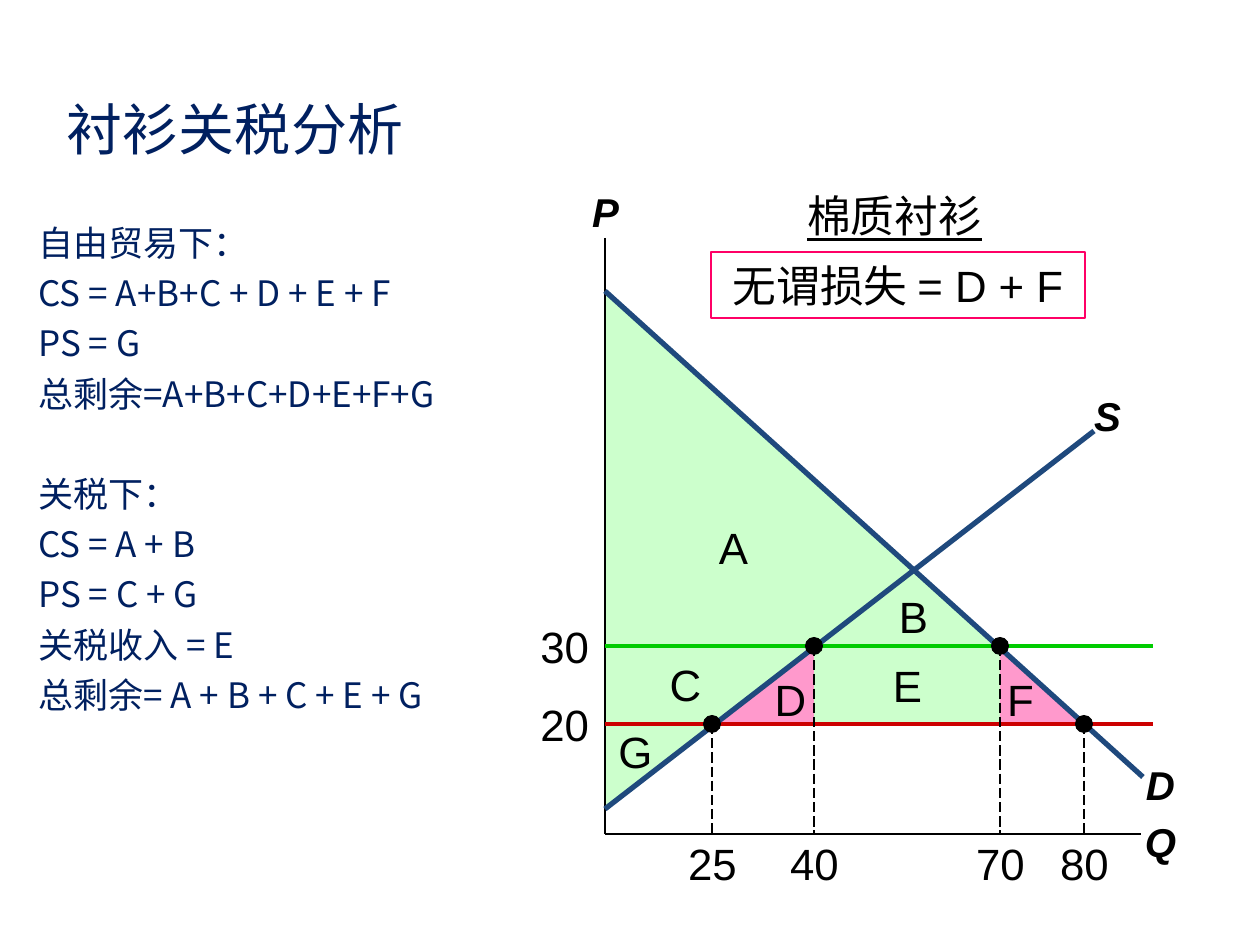
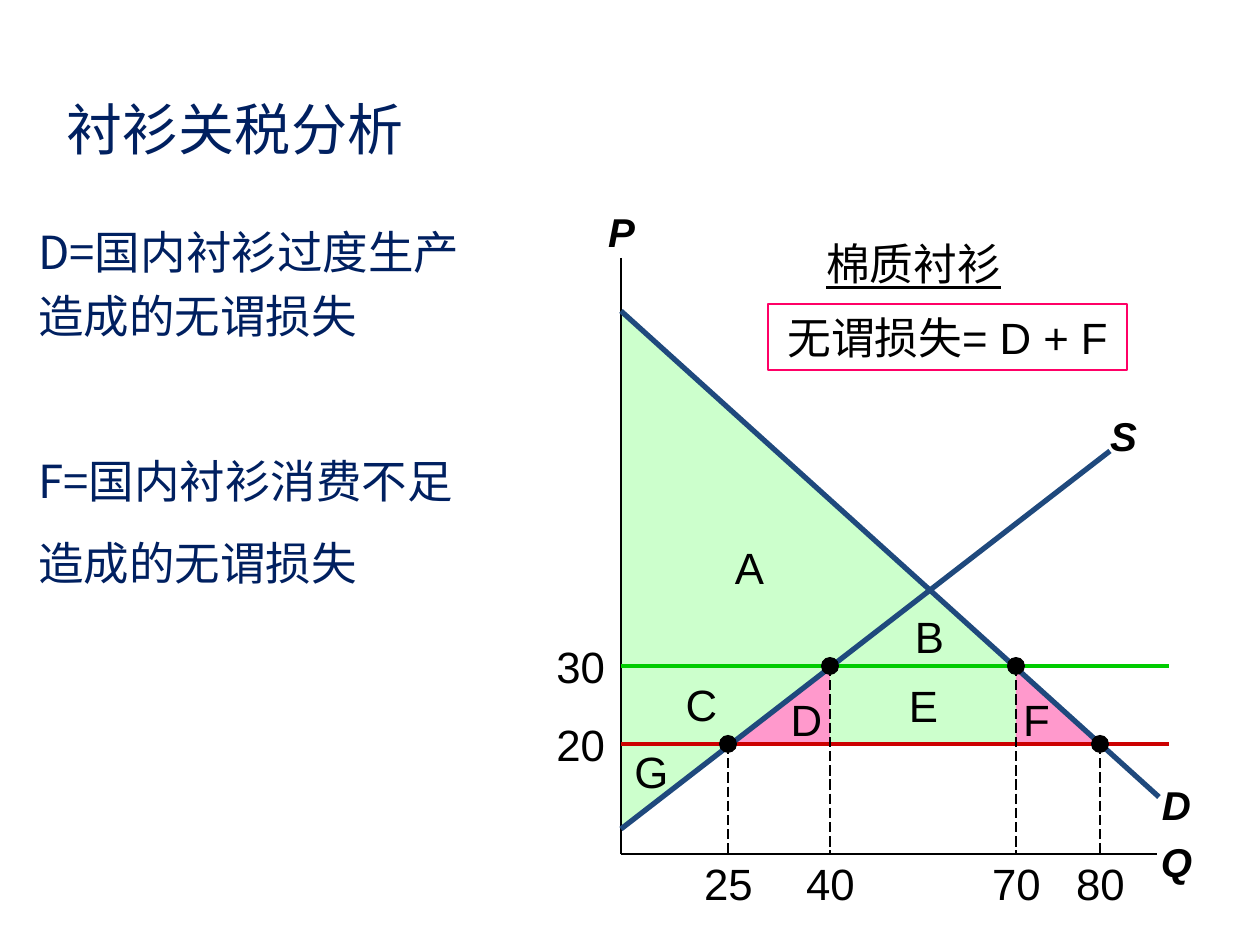
from lxml.etree import SubElement
from pptx import Presentation
from pptx.dml.color import RGBColor
from pptx.enum.dml import MSO_LINE
from pptx.enum.shapes import MSO_CONNECTOR, MSO_SHAPE
from pptx.enum.text import MSO_ANCHOR, PP_ALIGN
from pptx.oxml.ns import qn
from pptx.util import Emu, Pt

PX = 914400 // 126
SLIDE_W, SLIDE_H = 1260, 945

NAVY = RGBColor(0x00, 0x20, 0x60)
BLUE = RGBColor(0x1F, 0x49, 0x7D)
GREEN = RGBColor(0x00, 0xCC, 0x00)
RED = RGBColor(0xCC, 0x00, 0x00)
MAGENTA = RGBColor(0xFF, 0x00, 0x66)
PALE_GREEN = RGBColor(0xCC, 0xFF, 0xCC)
PINK = RGBColor(0xFF, 0x99, 0xCC)
BLACK = RGBColor(0x00, 0x00, 0x00)
WHITE = RGBColor(0xFF, 0xFF, 0xFF)
LATIN, CJK = "Arial", "Noto Sans CJK SC"

TITLE = "衬衫关税分析"
GOOD = "棉质衬衫"

# Notes: (text, line pitch in points, space before in points)
SLIDES = [
    dict(
        notes=[
            ("自由贸易下：", 28.7, 0),
            ("CS = A+B+C + D + E + F", 28.7, 0),
            ("PS = G", 28.7, 0),
            ("总剩余=A+B+C+D+E+F+G", 28.7, 0),
            ("关税下：", 28.7, 28.7),
            ("CS = A + B", 28.7, 0),
            ("PS = C + G", 28.7, 0),
            ("关税收入 = E", 28.7, 0),
            ("总剩余= A + B + C + E + G", 28.7, 0),
        ],
        notes_size=20, notes_box=(26, 207, 481, 585),
        shift=(0, 0), good_at=(894, 215),
        loss="无谓损失 = D + F", loss_box=(711, 252, 374, 66),
    ),
    dict(
        notes=[
            ("D=国内衬衫过度生产造成的无谓损失", 37.1, 0),
            ("F=国内衬衫消费不足造成的无谓损失", 46.9, 47),
        ],
        notes_size=26, notes_box=(26, 207, 457, 393),
        shift=(16, 20), good_at=(913, 263),
        loss="无谓损失= D + F", loss_box=(768, 304, 359, 66),
    ),
]

# Diagram coordinates before the slide's shift
AXIS_X, AXIS_TOP, AXIS_Y, AXIS_END = 605, 238, 834, 1141
PRICE_END = 1153
PRICES = {"30": (646, GREEN), "20": (724, RED)}
QUANTITIES = {"25": (712, "20"), "40": (814, "30"),
              "70": (1000, "30"), "80": (1084, "20")}
DEMAND = (AXIS_X, 291, 1143, 777)
SUPPLY = (AXIS_X, 809, 1094, 431)
CURVE_LABELS = {"P": (605, 211), "Q": (1160, 841),
                "D": (1160, 784), "S": (1107, 415)}
AREA_LABELS = {"A": (733, 547), "B": (913, 616), "C": (685, 684),
               "D": (790, 699), "E": (907, 685), "F": (1020, 699),
               "G": (635, 751)}
DOT = 18


def px(*lengths):
    return [Emu(n * PX) for n in lengths]


def set_font(p, size, color, latin=LATIN):
    p.font.size, p.font.name, p.font.color.rgb = Pt(size), latin, color
    for r in p.runs:
        r.font.size, r.font.name, r.font.color.rgb = Pt(size), latin, color
        SubElement(r.font._element, qn("a:ea"), typeface=CJK)


def add_text(slide, box, text, size, color=BLACK, latin=LATIN,
             align=PP_ALIGN.CENTER, margin=0, wrap=False):
    tf = slide.shapes.add_textbox(*px(*box)).text_frame
    tf.word_wrap = wrap
    tf.vertical_anchor = MSO_ANCHOR.MIDDLE
    tf.margin_left = tf.margin_right = Emu(margin * PX)
    tf.margin_top = tf.margin_bottom = 0
    p = tf.paragraphs[0]
    p.text, p.alignment = text, align
    set_font(p, size, color, latin)
    return p


def add_label(slide, center, text, size=25, width=83, height=53, **style):
    x, y = center
    box = (x - width // 2, y - height // 2, width, height)
    return add_text(slide, box, text, size, wrap=True, **style)


def add_notes(slide, box, notes, size):
    tf = slide.shapes.add_textbox(*px(*box)).text_frame
    tf.word_wrap = True
    for i, (text, pitch, before) in enumerate(notes):
        p = tf.add_paragraph() if i else tf.paragraphs[0]
        p.text = text
        p.line_spacing, p.space_before = Pt(pitch), Pt(before)
        set_font(p, size, NAVY, CJK)


def add_shape(slide, kind, box, fill, line=None):
    s = slide.shapes.add_shape(kind, *px(*box))
    s.shadow.inherit = False
    s.fill.solid()
    s.fill.fore_color.rgb = fill
    if line:
        s.line.color.rgb, s.line.width = line, Pt(0.75)
    else:
        s.line.fill.background()
    return s


def add_line(slide, ends, color=BLACK, width=0.75, dash=None):
    c = slide.shapes.add_connector(MSO_CONNECTOR.STRAIGHT, *px(*ends))
    c.line.color.rgb, c.line.width = color, Pt(width)
    if dash:
        c.line.dash_style = dash
    SubElement(c._element.spPr, qn("a:effectLst"))


def add_diagram(slide, shift):
    dx, dy = shift

    def moved(x, y, *end):
        """Shift a point, or a line given by its two ends."""
        return (x + dx, y + dy) + (moved(*end) if end else ())

    def area(kind, left, top, right, bottom, fill, flip=None):
        box = (*moved(left, top), right - left, bottom - top)
        s = add_shape(slide, kind, box, fill)
        if flip:
            s._element.spPr.find(qn("a:xfrm")).set(flip, "1")

    tariff, world = PRICES["30"][0], PRICES["20"][0]
    q25, q40, q70, q80 = (x for x, _ in QUANTITIES.values())
    triangle = MSO_SHAPE.RIGHT_TRIANGLE
    area(triangle, AXIS_X, tariff, q40, SUPPLY[1], PALE_GREEN, "flipV")
    area(triangle, AXIS_X, DEMAND[1], q70, tariff, PALE_GREEN)
    area(MSO_SHAPE.RECTANGLE, q40, tariff, q70, world, PALE_GREEN)
    area(triangle, q25, tariff, q40, world, PINK, "flipH")
    area(triangle, q70, tariff, q80, world, PINK)

    add_line(slide, moved(AXIS_X, AXIS_TOP, AXIS_X, AXIS_Y))
    add_line(slide, moved(AXIS_X, AXIS_Y, AXIS_END, AXIS_Y))
    for price, (y, color) in PRICES.items():
        add_line(slide, moved(AXIS_X, y, PRICE_END, y), color, 2.25)
        add_label(slide, moved(AXIS_X - 54, y), price, width=101,
                  align=PP_ALIGN.RIGHT, margin=13)
    for curve in (DEMAND, SUPPLY):
        add_line(slide, moved(*curve), BLUE, 3)
    for quantity, (x, price) in QUANTITIES.items():
        y = PRICES[price][0]
        add_line(slide, moved(x, y, x, AXIS_Y), dash=MSO_LINE.LONG_DASH)
        corner = moved(x - DOT // 2, y - DOT // 2)
        add_shape(slide, MSO_SHAPE.OVAL, (*corner, DOT, DOT), BLACK)
        add_label(slide, moved(x, AXIS_Y + 29), quantity)
    for letter, center in AREA_LABELS.items():
        add_label(slide, moved(*center), letter, width=59)
    for letter, center in CURVE_LABELS.items():
        p = add_label(slide, moved(*center), letter, size=23, width=59)
        for r in p.runs:
            r.font.bold = r.font.italic = True


def add_loss_box(slide, box, text):
    s = add_shape(slide, MSO_SHAPE.RECTANGLE, box, WHITE, MAGENTA)
    tf = s.text_frame
    tf.word_wrap = False
    tf.vertical_anchor = MSO_ANCHOR.MIDDLE
    p = tf.paragraphs[0]
    p.text, p.alignment = text, PP_ALIGN.CENTER
    set_font(p, 25, BLACK)


def main():
    prs = Presentation()
    prs.slide_width, prs.slide_height = px(SLIDE_W, SLIDE_H)
    for content in SLIDES:
        slide = prs.slides.add_slide(prs.slide_layouts[6])
        add_text(slide, (54, 96, 684, 64), TITLE, 32, NAVY, CJK,
                 PP_ALIGN.LEFT, margin=13, wrap=True)
        add_notes(slide, content["notes_box"], content["notes"],
                  content["notes_size"])
        add_diagram(slide, content["shift"])
        good = add_label(slide, content["good_at"], GOOD, width=263)
        good.runs[0].font.underline = True
        add_loss_box(slide, content["loss_box"], content["loss"])
    prs.save("out.pptx")


if __name__ == "__main__":
    main()
